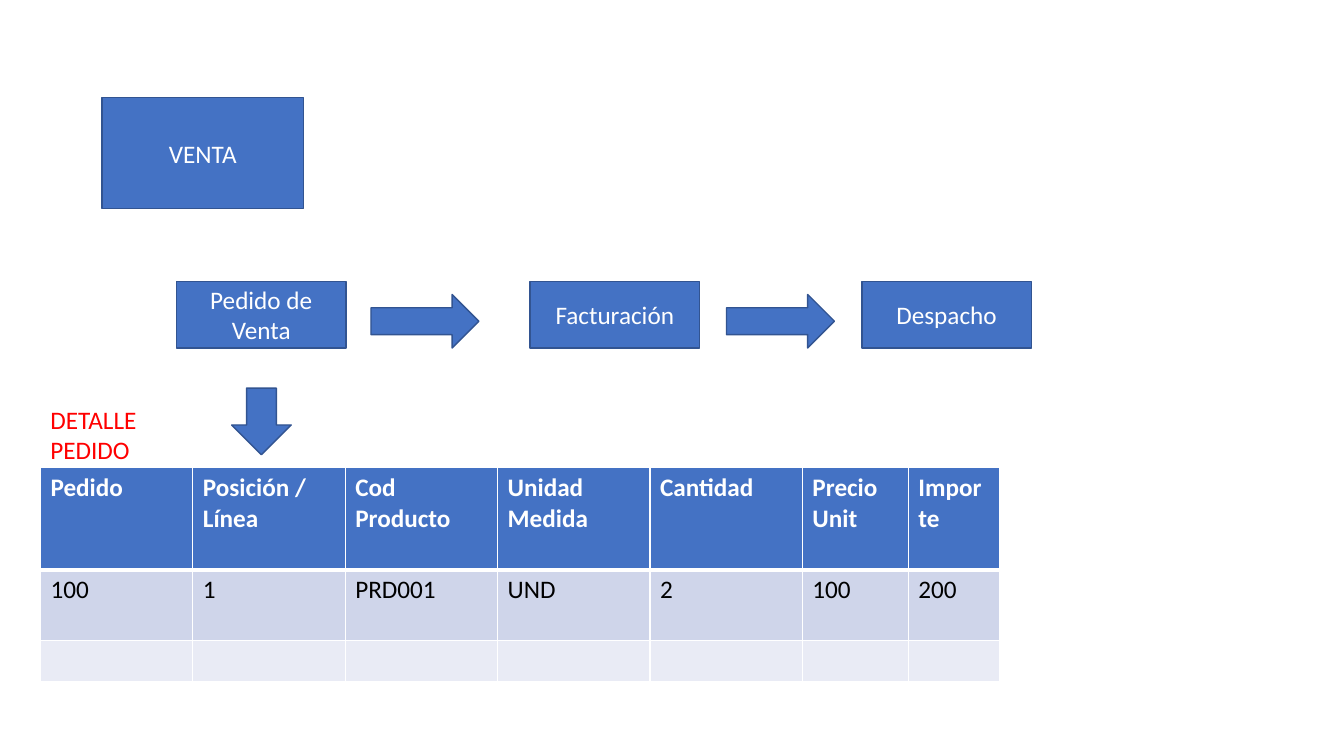
from lxml.etree import SubElement
from pptx import Presentation
from pptx.dml.color import RGBColor
from pptx.enum.shapes import MSO_SHAPE
from pptx.enum.text import MSO_ANCHOR, PP_ALIGN
from pptx.oxml.ns import qn
from pptx.util import Cm, Pt

BLUE, OUTLINE, WHITE, BLACK, RED = "4472C4", "325491", "FFFFFF", "000000", "FF0000"
BAND_DARK, BAND_LIGHT = "CFD5EA", "E9EBF5"


def color(hex_value):
    return RGBColor.from_string(hex_value)


class SlideBuilder:
    def __init__(self, slide):
        self.shapes = slide.shapes
        self.font_format = {"name": "Calibri", "size": Pt(18)}

    def add_text(self, frame, text, hex_color, bold=False, align=PP_ALIGN.LEFT):
        paragraph = frame.paragraphs[0]
        paragraph.alignment = align
        if not text:
            return
        run = paragraph.add_run()
        run.text = text
        for key, value in {**self.font_format, "bold": bold}.items():
            setattr(run.font, key, value)
        run.font.color.rgb = color(hex_color)

    def block(self, kind, left, top, width, height, text=""):
        shape = self.shapes.add_shape(kind, Cm(left), Cm(top), Cm(width), Cm(height))
        shape.shadow.inherit = False
        shape.fill.solid()
        shape.fill.fore_color.rgb = color(BLUE)
        shape.line.color.rgb = color(OUTLINE)
        shape.line.width = Pt(1)
        shape.text_frame.vertical_anchor = MSO_ANCHOR.MIDDLE
        self.add_text(shape.text_frame, text, WHITE, align=PP_ALIGN.CENTER)

    def label(self, left, top, width, height, text, hex_color):
        frame = self.shapes.add_textbox(Cm(left), Cm(top), Cm(width), Cm(height)).text_frame
        frame.word_wrap = True
        self.add_text(frame, text, hex_color)

    def borders(self, cell, widths):
        properties = cell._tc.get_or_add_tcPr()
        for index, (side, points) in enumerate(widths.items()):
            line = SubElement(properties, qn(f"a:{side}"), w=str(Pt(points)))
            fill = SubElement(line, qn("a:solidFill"))
            SubElement(fill, qn("a:srgbClr"), val=WHITE)
            properties.insert(index, line)  # borders precede the cell fill

    def table(self, left, top, widths, heights, rows, fills):
        table = self.shapes.add_table(
            len(rows), len(widths), Cm(left), Cm(top), Cm(sum(widths)), Cm(sum(heights))
        ).table
        for column, width in zip(table.columns, widths):
            column.width = Cm(width)
        for r, (row, height) in enumerate(zip(table.rows, heights)):
            row.height = Cm(height)
            header = r == 0
            edges = {"lnL": 1, "lnR": 1, "lnT": 3 if r == 1 else 1, "lnB": 3 if header else 1}
            for cell, text in zip(row.cells, rows[r]):
                cell.fill.solid()
                cell.fill.fore_color.rgb = color(fills[r])
                self.add_text(cell.text_frame, text, WHITE if header else BLACK, header)
                self.borders(cell, edges)


def main():
    deck = Presentation()
    deck.slide_width, deck.slide_height = Cm(33.87), Cm(19.05)
    builder = SlideBuilder(deck.slides.add_slide(deck.slide_layouts[6]))

    # Sales process and its steps
    builder.block(MSO_SHAPE.RECTANGLE, 2.57, 2.46, 5.08, 2.79, "VENTA")
    steps = {"Pedido de Venta": 4.45, "Facturación": 13.36, "Despacho": 21.72}
    for step, left in steps.items():
        builder.block(MSO_SHAPE.RECTANGLE, left, 7.09, 4.27, 1.68, step)
    for left in (9.35, 18.31):
        builder.block(MSO_SHAPE.RIGHT_ARROW, left, 7.42, 2.72, 1.35)

    # Order detail
    order_rows = [
        ["Pedido", "Posición / Línea", "Cod Producto", "Unidad Medida",
         "Cantidad", "Precio Unit", "Importe"],
        ["100", "1", "PRD001", "UND", "2", "100", "200"],
        [""] * 7,
    ]
    builder.table(1.02, 11.79, [3.84] * 5 + [2.67, 2.31], [2.57, 1.78, 1.03],
                  order_rows, [BLUE, BAND_DARK, BAND_LIGHT])
    builder.block(MSO_SHAPE.DOWN_ARROW, 5.84, 9.78, 1.5, 1.68)
    builder.label(1.02, 10.06, 3.94, 1.8, "DETALLE PEDIDO", RED)

    deck.save("out.pptx")


if __name__ == "__main__":
    main()
